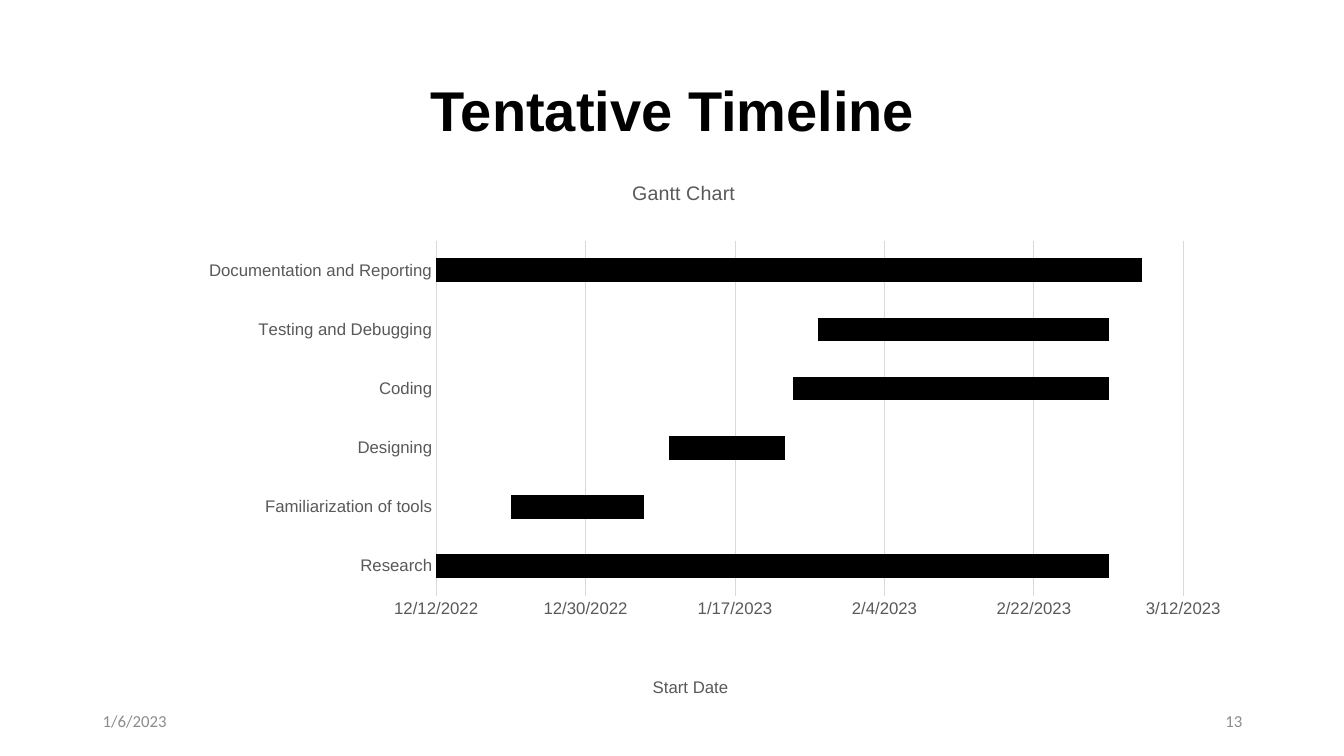
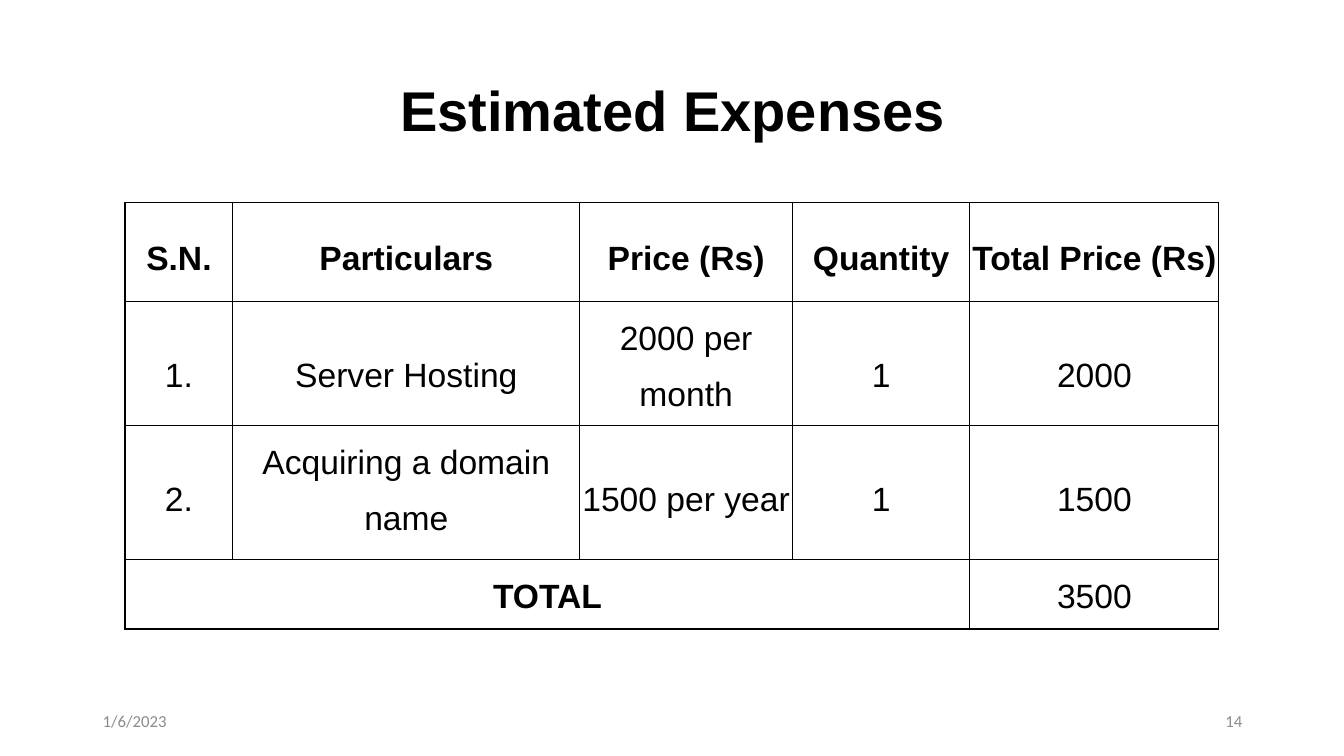
from pptx import Presentation
from pptx.chart.data import CategoryChartData
from pptx.dml.color import RGBColor
from pptx.enum.chart import XL_CHART_TYPE as ChartType, XL_LEGEND_POSITION as LegendPos
from pptx.enum.chart import XL_TICK_MARK as TickMark
from pptx.enum.text import MSO_ANCHOR as Anchor, PP_ALIGN as Align
from pptx.oxml import parse_xml
from pptx.oxml.ns import nsdecls
from pptx.util import Inches, Pt

COLORS = {
    "ink": "000000",
    "paper": "FFFFFF",
    "label": "595959",
    "grid": "D9D9D9",
    "footer": "8C8C8C",
}
HEADING_FONT, FOOTER_FONT = "Arial", "Calibri"
TITLE_BOX = (0.92, 0.4, 11.5, 1.45)
DATE_BOX = (0.92, 6.95, 3, 0.4)
NUMBER_BOX = (9.42, 6.95, 3, 0.4)
CHART_BOX = (0.49, 1.59, 12.58, 5.36)
TABLE_BOX = (1.24, 2.01, 10.85, 4.23)
PLOT_LAYOUT = {"x": 0.305, "y": 0.149, "w": 0.589, "h": 0.657}

TASKS = [
    ("Research", 44907, 81),
    ("Familiarization of tools", 44916, 16),
    ("Designing", 44935, 14),
    ("Coding", 44950, 38),
    ("Testing and Debugging", 44953, 35),
    ("Documentation and Reporting", 44907, 85),
]
EXPENSES = [
    ["S.N.", "Particulars", "Price (Rs)", "Quantity", "Total Price (Rs)"],
    ["1.", "Server Hosting", "2000 per month", "1", "2000"],
    ["2.", "Acquiring a domain name", "1500 per year", "1", "1500"],
    ["TOTAL", "", "", "", "3500"],
]
COLUMN_WIDTHS = [1.07, 3.44, 2.11, 1.76, 2.47]
ROW_HEIGHTS = [0.98, 1.23, 1.33, 0.69]
ROW_SPACING = [2, 2.5, 2.5, 1.5]
WRAPPED_CELLS = {(1, 2), (2, 1)}
WRAPPED_SPACING = 1.5


def rgb(name):
    """Return the named palette colour."""
    return RGBColor.from_string(COLORS[name])


def style_font(font, size, color, name=HEADING_FONT, bold=False):
    """Apply size, colour, typeface and weight to a font."""
    font.size, font.name, font.bold = Pt(size), name, bold
    font.color.rgb = rgb(color)


def write_text(frame, text, align, spacing, **style):
    """Write one formatted paragraph into a text frame."""
    frame.text = text
    paragraph = frame.paragraphs[0]
    paragraph.alignment, paragraph.line_spacing = align, spacing
    for run in paragraph.runs:
        style_font(run.font, **style)


def add_footer(slide, box, text, align):
    """Place one footer entry in its box."""
    frame = slide.shapes.add_textbox(*map(Inches, box)).text_frame
    frame.word_wrap, frame.vertical_anchor = True, Anchor.MIDDLE
    write_text(frame, text, align, 1, size=12, color="footer", name=FOOTER_FONT)


def add_titled_slide(deck, title, number):
    """Add a slide with the shared title and footers."""
    slide = deck.slides.add_slide(deck.slide_layouts[5])
    heading = slide.shapes.title
    heading.left, heading.top, heading.width, heading.height = map(Inches, TITLE_BOX)
    heading.text_frame.vertical_anchor = Anchor.MIDDLE
    write_text(heading.text_frame, title, Align.CENTER, 0.9, size=40, color="ink", bold=True)
    add_footer(slide, DATE_BOX, "1/6/2023", Align.LEFT)
    add_footer(slide, NUMBER_BOX, str(number), Align.RIGHT)
    return slide


def fix_plot_area(chart):
    """Pin the inner plot area to its share of the chart."""
    plot_area = chart.plots[0]._element.getparent()
    for layout in plot_area.findall("{*}layout"):
        plot_area.remove(layout)
    modes = '<c:xMode val="edge"/><c:yMode val="edge"/>'
    sizes = "".join(f'<c:{side} val="{share}"/>' for side, share in PLOT_LAYOUT.items())
    plot_area.insert(0, parse_xml(
        f'<c:layout {nsdecls("c")}><c:manualLayout><c:layoutTarget val="inner"/>'
        f"{modes}{sizes}</c:manualLayout></c:layout>"))


def style_axes(chart):
    """Format the task axis and the date axis."""
    tasks, dates = chart.category_axis, chart.value_axis
    for axis in (tasks, dates):
        axis.major_tick_mark = axis.minor_tick_mark = TickMark.NONE
        style_font(axis.tick_labels.font, 12, "label")
    tasks.has_major_gridlines = False
    dates.has_major_gridlines = True
    for line in (tasks.format.line, dates.major_gridlines.format.line):
        line.color.rgb, line.width = rgb("grid"), Pt(0.75)
    dates.format.line.fill.background()
    dates.minimum_scale, dates.maximum_scale, dates.major_unit = 44907, 44997, 18
    dates.tick_labels.number_format = "m/d/yyyy"
    dates.tick_labels.number_format_is_linked = False


def add_gantt(slide, box):
    """Draw the task schedule as stacked bars with hidden offsets."""
    names, starts, durations = zip(*TASKS)
    schedule = CategoryChartData()
    schedule.categories = names
    schedule.add_series("Start Date", starts)
    schedule.add_series("Duration", durations)
    chart = slide.shapes.add_chart(
        ChartType.BAR_STACKED, *map(Inches, box), schedule).chart
    style_font(chart.font, 10, "ink", FOOTER_FONT)
    chart.has_title = True
    write_text(chart.chart_title.text_frame, "Gantt Chart", Align.CENTER, None,
               size=14, color="label")
    bars = chart.plots[0]
    bars.gap_width, bars.overlap, bars.vary_by_categories = 150, 100, False
    offset, duration = bars.series
    offset.format.fill.background()
    duration.format.fill.solid()
    duration.format.fill.fore_color.rgb = rgb("ink")
    style_axes(chart)
    fix_plot_area(chart)
    chart.has_legend = True
    legend = chart.legend
    legend.position, legend.include_in_layout = LegendPos.BOTTOM, False
    style_font(legend.font, 12, "label")
    legend._element.insert(1, parse_xml(
        f'<c:legendEntry {nsdecls("c")}><c:idx val="0"/><c:delete val="1"/></c:legendEntry>'))


def add_borders(cell):
    """Outline a table cell on all four sides."""
    properties = cell._tc.get_or_add_tcPr()
    for position, side in enumerate("LRTB"):
        properties.insert(position, parse_xml(
            f'<a:ln{side} {nsdecls("a")} w="12700"><a:solidFill>'
            f'<a:srgbClr val="{COLORS["ink"]}"/></a:solidFill></a:ln{side}>'))


def add_expenses(slide, box):
    """Draw the bordered expense table with its merged total row."""
    table = slide.shapes.add_table(
        len(EXPENSES), len(COLUMN_WIDTHS), *map(Inches, box)).table
    table.first_row = table.horz_banding = False
    for column, width in zip(table.columns, COLUMN_WIDTHS):
        column.width = Inches(width)
    for row, height in zip(table.rows, ROW_HEIGHTS):
        row.height = Inches(height)
    for r, entries in enumerate(EXPENSES):
        for c, entry in enumerate(entries):
            cell = table.cell(r, c)
            cell.margin_left = cell.margin_right = cell.margin_top = cell.margin_bottom = 0
            cell.fill.background()
            add_borders(cell)
            spacing = WRAPPED_SPACING if (r, c) in WRAPPED_CELLS else ROW_SPACING[r]
            write_text(cell.text_frame, entry, Align.CENTER, spacing, size=24,
                       color="ink", bold=r == 0 or entry == "TOTAL")
    table.cell(3, 0).merge(table.cell(3, 3))


def main():
    """Build and save the two slides."""
    deck = Presentation()
    deck.slide_width, deck.slide_height = Inches(13.33), Inches(7.5)
    add_gantt(add_titled_slide(deck, "Tentative Timeline", 13), CHART_BOX)
    add_expenses(add_titled_slide(deck, "Estimated Expenses", 14), TABLE_BOX)
    deck.save("out.pptx")


if __name__ == "__main__":
    main()
